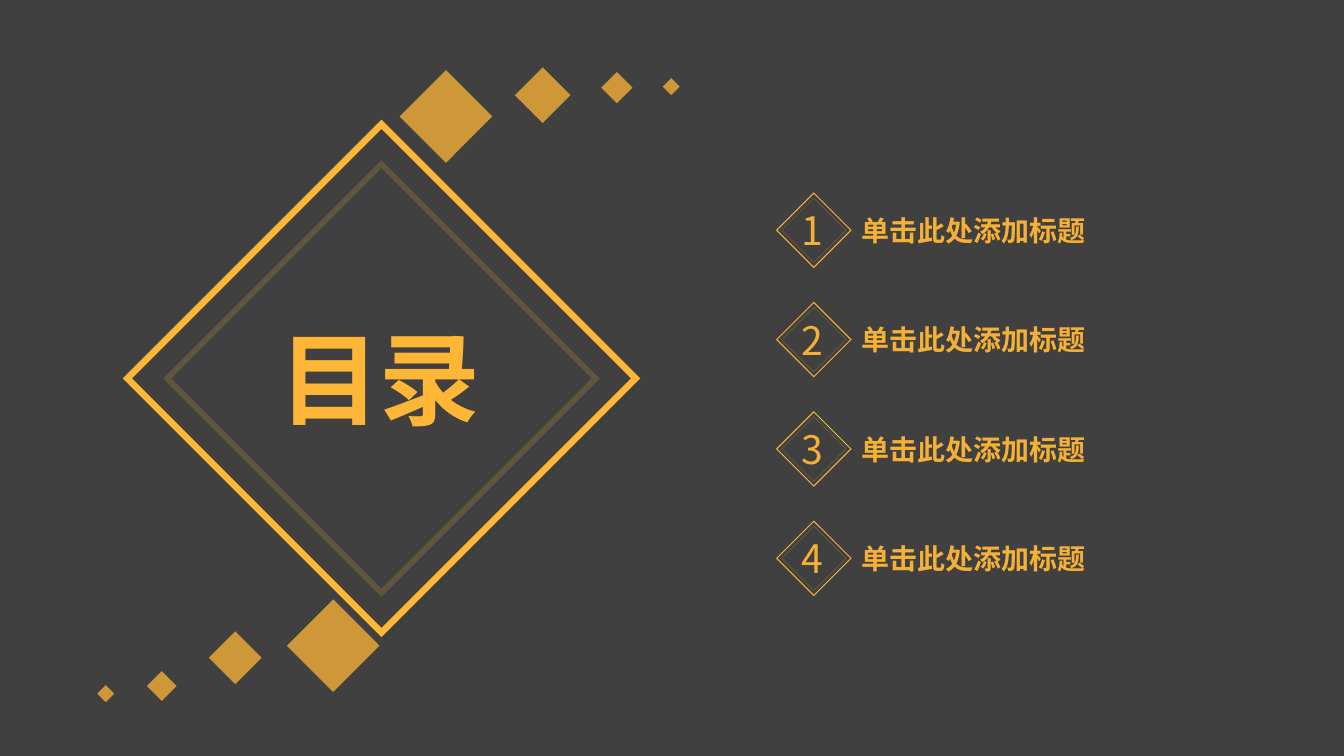
from lxml.etree import SubElement
from pptx import Presentation
from pptx.dml.color import RGBColor
from pptx.enum.shapes import MSO_SHAPE
from pptx.enum.text import MSO_AUTO_SIZE, PP_ALIGN
from pptx.oxml.ns import qn
from pptx.util import Pt

FONT = "Noto Sans CJK SC"
GOLD = "FEB637"
TEXT_GOLD = "F5B037"
CHARCOAL = "404040"
WIDTH, HEIGHT = 960, 540
TOPICS = ["单击此处添加标题"] * 4
UPPER_TRAIL = [(0, 21.3, 46.8), (69.1, 6.1, 28.1), (122, 0.7, 15.8), (160.9, 0, 8.6)]
LOWER_TRAIL = [(162.4, 0, 46.8), (92.5, 8.6, 26.6), (40, 28.8, 15.1), (0, 34.2, 8.6)]


def paint(shape, color, opacity=100):
    """Give a shape a plain fill with no line or shadow."""
    shape.shadow.inherit = False
    shape.line.fill.background()
    shape.fill.solid()
    shape.fill.fore_color.rgb = RGBColor.from_string(color)
    if opacity < 100:
        tint = shape.fill._xPr.find(qn("a:solidFill"))[0]
        SubElement(tint, qn("a:alpha"), val=str(opacity * 1000))


def add_diamond(shapes, kind, center_x, center_y, side, rotation, opacity=100):
    """Add a square or frame turned onto its corner about a center."""
    diamond = shapes.add_shape(
        kind, Pt(center_x - side / 2), Pt(center_y - side / 2), Pt(side), Pt(side))
    diamond.rotation = rotation
    if kind == MSO_SHAPE.FRAME:
        diamond.adjustments[0] = 0.018
    paint(diamond, GOLD, opacity)


def add_double_frame(shapes, center_x, center_y, outer, inner):
    """Add a bright diamond frame with a faint one inside it."""
    for side, opacity in ((outer, 100), (inner, 18)):
        add_diamond(shapes, MSO_SHAPE.FRAME, center_x, center_y, side, 45, opacity)


def add_text(slide, box, words, size, color, bold=False, wrap=False, align=None):
    """Add a one-paragraph text box."""
    frame = slide.shapes.add_textbox(*map(Pt, box)).text_frame
    frame.word_wrap = wrap
    frame.auto_size = MSO_AUTO_SIZE.SHAPE_TO_FIT_TEXT
    frame.text = words
    paragraph = frame.paragraphs[0]
    paragraph.alignment = align
    run = paragraph.runs[0]
    run.font.size = Pt(size)
    run.font.bold = bold
    run.font.color.rgb = RGBColor.from_string(color)
    run.font.name = FONT
    SubElement(run.font._element, qn("a:ea"), typeface=FONT)


def add_backdrop(slide, left, top, width, height):
    """Cover the given box with the dark backdrop."""
    backdrop = slide.shapes.add_shape(
        MSO_SHAPE.RECTANGLE, Pt(left), Pt(top), Pt(width), Pt(height))
    paint(backdrop, CHARCOAL)


def add_heading(slide, left, top, side):
    """Place the large framed heading in a square box."""
    center_x, center_y = left + side / 2, top + side / 2
    add_double_frame(slide.shapes, center_x, center_y, side, side * 0.843)
    add_text(slide, (center_x - 80.2, center_y - 47.9, 160, 94.3),
             "目录", 72, GOLD, bold=True)


def add_topic(slide, left, top, side, number, topic):
    """Place one numbered topic beside its diamond badge."""
    center_x, center_y = left + side / 2, top + side / 2
    badge = slide.shapes.add_group_shape()
    add_double_frame(badge.shapes, center_x, center_y, side, side * 0.867)
    add_text(slide, (center_x - 15.5, center_y - 20.5, 31, 41),
             str(number), 28, TEXT_GOLD)
    add_text(slide, (center_x + 27, center_y - 15.5, 201.6, 31.5), topic, 20,
             TEXT_GOLD, bold=True, wrap=True, align=PP_ALIGN.JUSTIFY)


def add_topics(slide, left, top, pitch):
    """Stack the topics at an equal pitch."""
    for index, topic in enumerate(TOPICS):
        add_topic(slide, left, top + index * pitch, 38.2, index + 1, topic)


def add_trail(slide, left, top, trail):
    """Scatter shrinking diamonds by their center offsets."""
    for offset_x, offset_y, side in trail:
        add_diamond(slide.shapes, MSO_SHAPE.RECTANGLE,
                    left + offset_x, top + offset_y, side, 315, 75)


def main():
    """Build and save the contents slide."""
    deck = Presentation()
    deck.slide_width, deck.slide_height = Pt(WIDTH), Pt(HEIGHT)
    slide = deck.slides.add_slide(deck.slide_layouts[6])
    add_backdrop(slide, 0, 0, WIDTH, HEIGHT)
    add_heading(slide, 141.8, 139.6, 261.4)
    add_topics(slide, 562.2, 145.4, 78.1)
    add_trail(slide, 318.6, 61.9, UPPER_TRAIL)
    add_trail(slide, 75.6, 461.2, LOWER_TRAIL)
    deck.save("out.pptx")


if __name__ == "__main__":
    main()
